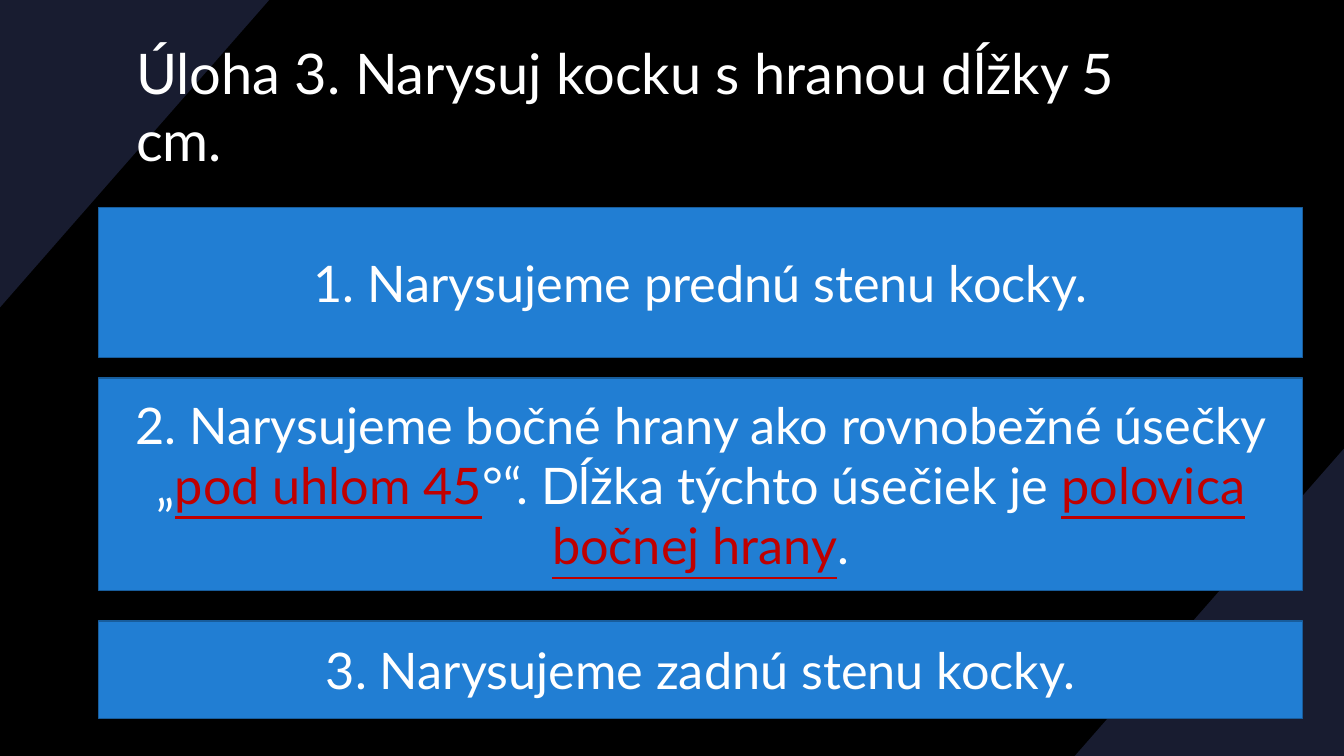
from dataclasses import dataclass

import pptx
import pptx.dml.color
import pptx.enum.shapes
import pptx.enum.text
import pptx.util

Inches = pptx.util.Inches
PP_ALIGN = pptx.enum.text.PP_ALIGN


@dataclass(frozen=True)
class Theme:
    font: str = "Lato"
    background: str = "000000"
    corner: str = "181C30"
    box: str = "217ED3"
    box_line: str = "185D9C"
    text: str = "FFFFFF"
    accent: str = "C00000"
    title_size: int = 40
    step_size: int = 36


@dataclass(frozen=True)
class Step:
    top: float
    height: float
    phrases: tuple[str, ...]  # every second phrase is emphasised


THEME = Theme()
WIDTH, HEIGHT = 13.33, 7.5
CORNER_W, CORNER_H = 2.67, 3.05
STEP_LEFT, STEP_WIDTH = 0.98, 11.94

CORNERS = (
    ((0, CORNER_H), (0, 0), (CORNER_W, 0)),
    ((WIDTH, HEIGHT - CORNER_H), (WIDTH, HEIGHT), (WIDTH - CORNER_W, HEIGHT)),
)
STEPS = (
    Step(2.06, 1.49, ("1. Narysujeme prednú stenu kocky.",)),
    Step(3.75, 2.11, (
        "2. Narysujeme bočné hrany ako rovnobežné úsečky „",
        "pod uhlom 45",
        "°“. Dĺžka týchto úsečiek je ",
        "polovica bočnej hrany",
        ".",
    )),
    Step(6.16, 0.97, ("3. Narysujeme zadnú stenu kocky.",)),
)


def rgb(color: str) -> pptx.dml.color.RGBColor:
    return pptx.dml.color.RGBColor.from_string(color)


def paint(fill, color: str) -> None:
    fill.solid()
    fill.fore_color.rgb = rgb(color)


def add_text(p, text: str, *, size: int, color: str = THEME.text,
             underline: bool = False) -> None:
    r = p.add_run()
    r.text = text
    r.font.name = THEME.font
    r.font.size = pptx.util.Pt(size)
    r.font.color.rgb = rgb(color)
    r.font.underline = underline


def prepare_text(sp, align: PP_ALIGN):
    tf = sp.text_frame
    tf.word_wrap = True
    tf.auto_size = pptx.enum.text.MSO_AUTO_SIZE.NONE
    tf.vertical_anchor = pptx.enum.text.MSO_ANCHOR.MIDDLE
    p = tf.paragraphs[0]
    p.alignment = align
    return p


def add_corner(s, points: tuple[tuple[float, float], ...]) -> None:
    start, *rest = [(Inches(x), Inches(y)) for x, y in points]
    builder = s.shapes.build_freeform(*start)
    builder.add_line_segments(rest, close=True)
    sp = builder.convert_to_shape()
    sp.shadow.inherit = False
    paint(sp.fill, THEME.corner)
    sp.line.fill.background()


def add_title(s, text: str) -> None:
    sp = s.shapes.title
    sp.left, sp.top = Inches(1.25), Inches(0.3)
    sp.width, sp.height = Inches(10.83), Inches(1.49)
    add_text(prepare_text(sp, PP_ALIGN.LEFT), text, size=THEME.title_size)
    # Bring the title in front of the corners
    s.shapes._spTree.append(sp._element)


def add_step(s, step: Step) -> None:
    sp = s.shapes.add_shape(
        pptx.enum.shapes.MSO_SHAPE.RECTANGLE, Inches(STEP_LEFT),
        Inches(step.top), Inches(STEP_WIDTH), Inches(step.height))
    sp.shadow.inherit = False
    paint(sp.fill, THEME.box)
    paint(sp.line.fill, THEME.box_line)
    sp.line.width = pptx.util.Pt(1)
    p = prepare_text(sp, PP_ALIGN.CENTER)
    for i, text in enumerate(step.phrases):
        emphasised = i % 2 == 1
        add_text(p, text, size=THEME.step_size, underline=emphasised,
                 color=THEME.accent if emphasised else THEME.text)


def main() -> None:
    prs = pptx.Presentation()
    prs.slide_width, prs.slide_height = Inches(WIDTH), Inches(HEIGHT)
    s = prs.slides.add_slide(prs.slide_layouts.get_by_name("Title Only"))

    # Background with dark corners
    paint(s.background.fill, THEME.background)
    for points in CORNERS:
        add_corner(s, points)

    # Task and its steps
    add_title(s, "Úloha 3. Narysuj kocku s hranou dĺžky 5 cm.")
    for step in STEPS:
        add_step(s, step)

    prs.save("out.pptx")


if __name__ == "__main__":
    main()
